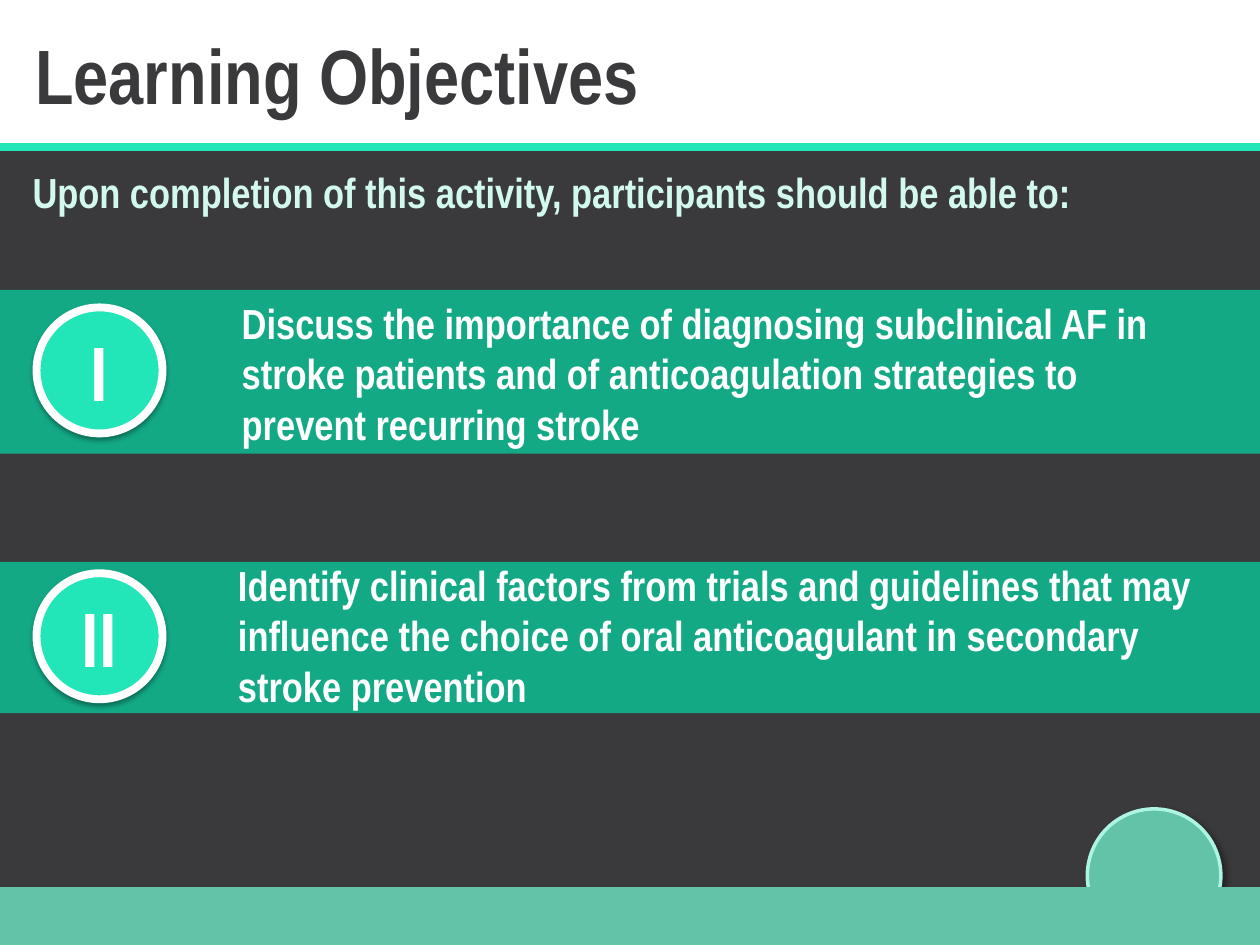
from dataclasses import dataclass

from lxml import etree
from pptx import Presentation
from pptx.dml.color import RGBColor
from pptx.enum.shapes import MSO_CONNECTOR, MSO_SHAPE
from pptx.enum.text import MSO_ANCHOR, PP_ALIGN
from pptx.oxml.ns import qn
from pptx.util import Inches, Pt

RECTANGLE = MSO_SHAPE.RECTANGLE
CIRCLE = MSO_SHAPE.FLOWCHART_CONNECTOR
STRAIGHT = MSO_CONNECTOR.STRAIGHT
LEFT, CENTER = PP_ALIGN.LEFT, PP_ALIGN.CENTER
TOP, MIDDLE = MSO_ANCHOR.TOP, MSO_ANCHOR.MIDDLE

FONT = "Arial Narrow"
WHITE = "FFFFFF"
CHARCOAL = "3A3A3C"
GREEN = "13A985"
MINT = "22E6B7"
SAGE = "62C3A8"
PALE_MINT = "AEF4E2"
LIGHT_MINT = "D3F9EF"

SLIDE_WIDTH = 10
SLIDE_HEIGHT = 7.5
HEADER_BOTTOM = 1.17
FOOTER_TOP = 7.04


@dataclass(frozen=True)
class Box:
    left: float
    top: float
    width: float
    height: float

    def lengths(self) -> tuple:
        return tuple(map(Inches, (self.left, self.top, self.width, self.height)))


@dataclass(frozen=True)
class Shadow:
    opacity: int
    blur: float
    distance: float
    angle: int


@dataclass(frozen=True)
class Objective:
    numeral: str
    wording: str
    band: Box
    badge_top: float
    wording_box: Box


BADGE_SHADOW = Shadow(35, 3.1, 1.8, 90)
FOOTER_SHADOW = Shadow(40, 4, 3, 45)

OBJECTIVES = [
    Objective(
        "I",
        "Discuss the importance of diagnosing subclinical AF in stroke patients "
        "and of anticoagulation strategies to prevent recurring stroke",
        Box(0, 2.3, SLIDE_WIDTH, 1.3),
        2.44,
        Box(1.82, 2.31, 7.65, 1.31),
    ),
    Objective(
        "II",
        "Identify clinical factors from trials and guidelines that may influence "
        "the choice of oral anticoagulant in secondary stroke prevention",
        Box(0, 4.46, SLIDE_WIDTH, 1.2),
        4.55,
        Box(1.79, 4.39, 7.91, 1.31),
    ),
]


def color(value: str) -> RGBColor:
    return RGBColor.from_string(value)


def write(shape, text: str, *, size: int = 24, fill: str = WHITE,
          align=LEFT, anchor=TOP) -> None:
    frame = shape.text_frame
    frame.word_wrap = True
    frame.vertical_anchor = anchor
    paragraph = frame.paragraphs[0]
    paragraph.alignment = align
    run = paragraph.add_run()
    run.text = text
    run.font.name = FONT
    run.font.size = Pt(size)
    run.font.bold = True
    run.font.color.rgb = color(fill)


def add_shadow(shape, shadow: Shadow) -> None:
    effects = shape._element.spPr.find(qn("a:effectLst"))
    outer = etree.SubElement(
        effects, qn("a:outerShdw"),
        blurRad=str(Pt(shadow.blur)), dist=str(Pt(shadow.distance)),
        dir=str(shadow.angle * 60000), rotWithShape="0",
    )
    tint = etree.SubElement(outer, qn("a:srgbClr"), val="000000")
    etree.SubElement(tint, qn("a:alpha"), val=str(shadow.opacity * 1000))


def add_band(slide, box: Box, fill: str) -> None:
    band = slide.shapes.add_shape(RECTANGLE, *box.lengths())
    band.shadow.inherit = False
    band.fill.solid()
    band.fill.fore_color.rgb = color(fill)
    band.line.fill.background()


def add_circle(slide, box: Box, fill: str, outline: str, weight: float,
               shadow: Shadow):
    circle = slide.shapes.add_shape(CIRCLE, *box.lengths())
    circle.shadow.inherit = False
    circle.fill.solid()
    circle.fill.fore_color.rgb = color(fill)
    circle.line.color.rgb = color(outline)
    circle.line.width = Pt(weight)
    add_shadow(circle, shadow)
    return circle


def add_rule(slide, top: float) -> None:
    rule = slide.shapes.add_connector(
        STRAIGHT, 0, Inches(top), Inches(SLIDE_WIDTH), Inches(top))
    rule.line.color.rgb = color(MINT)
    rule.line.width = Pt(4.5)
    etree.SubElement(rule._element.spPr, qn("a:effectLst"))


def add_objective(slide, objective: Objective) -> None:
    add_band(slide, objective.band, GREEN)
    badge = add_circle(slide, Box(0.29, objective.badge_top, 1, 1),
                       MINT, WHITE, 4.5, BADGE_SHADOW)
    write(badge, objective.numeral, size=44, align=CENTER, anchor=MIDDLE)
    wording = slide.shapes.add_textbox(*objective.wording_box.lengths())
    write(wording, objective.wording)


def main() -> None:
    deck = Presentation()
    deck.slide_width = Inches(SLIDE_WIDTH)
    deck.slide_height = Inches(SLIDE_HEIGHT)
    slide = deck.slides.add_slide(deck.slide_layouts[5])
    slide.background.fill.solid()
    slide.background.fill.fore_color.rgb = color(WHITE)

    title = slide.shapes.title
    title.left, title.top, title.width, title.height = Box(
        0.18, 0.17, 8.82, 0.84).lengths()
    write(title, "Learning Objectives", size=44, fill=CHARCOAL)

    add_band(slide, Box(0, HEADER_BOTTOM, SLIDE_WIDTH,
                        FOOTER_TOP - HEADER_BOTTOM), CHARCOAL)
    add_rule(slide, HEADER_BOTTOM)

    for objective in OBJECTIVES:
        add_objective(slide, objective)

    introduction = slide.shapes.add_textbox(*Box(0.16, 1.27, 9.49, 0.6).lengths())
    write(introduction,
          "Upon completion of this activity, participants should be able to:",
          fill=LIGHT_MINT)

    add_circle(slide, Box(8.63, 6.42, 1.06, 1.06), SAGE, PALE_MINT, 2,
               FOOTER_SHADOW)
    add_band(slide, Box(0, FOOTER_TOP, SLIDE_WIDTH,
                        SLIDE_HEIGHT - FOOTER_TOP), SAGE)

    deck.save("out.pptx")


if __name__ == "__main__":
    main()
